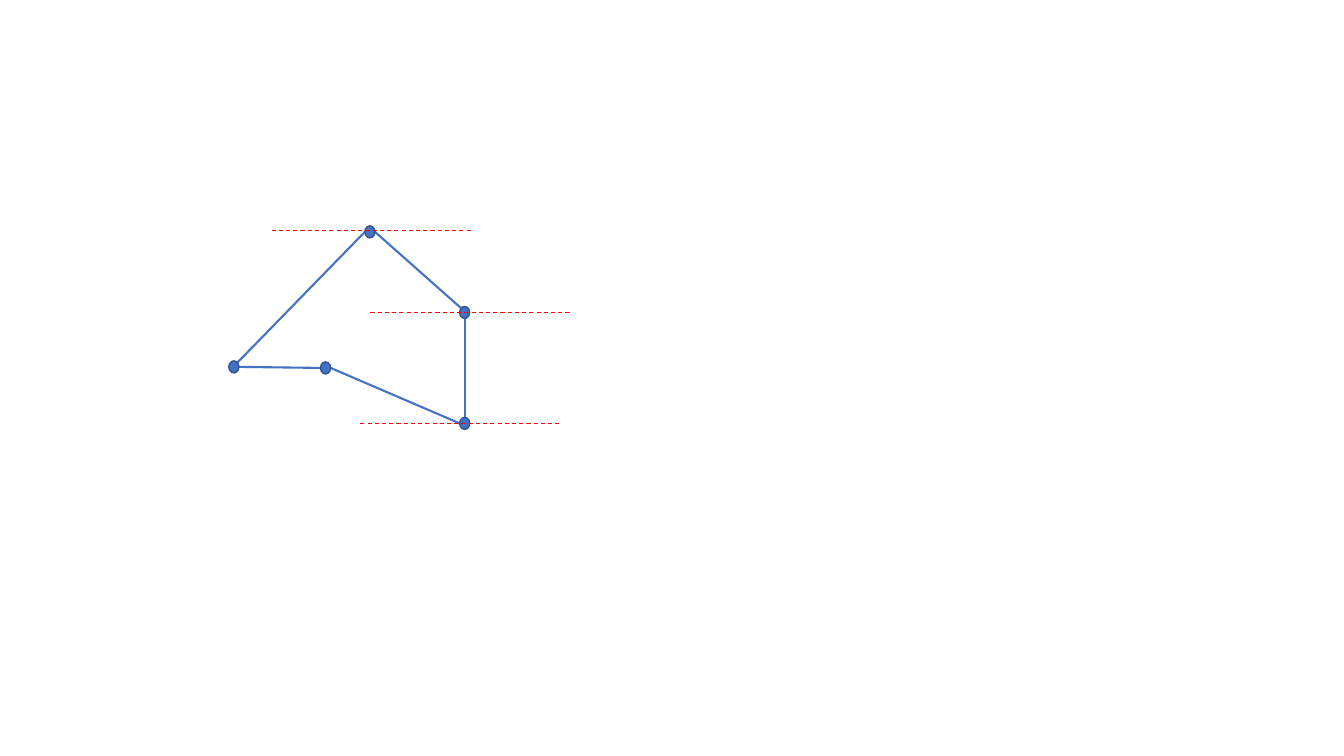
from dataclasses import dataclass
from typing import NamedTuple, Optional

from lxml.etree import SubElement
from pptx import Presentation
from pptx.dml.color import RGBColor
from pptx.enum.dml import MSO_LINE_DASH_STYLE as Dash
from pptx.enum.shapes import MSO_CONNECTOR as Connector, MSO_SHAPE as Shape
from pptx.oxml.ns import qn
from pptx.slide import Slide
from pptx.util import Inches, Length, Pt


# Grid: ten columns and ten rows to the inch
def grid(cells: float) -> Length:
    return Inches(cells / 10)


class Point(NamedTuple):
    column: float
    row: float


class Stroke(NamedTuple):
    color: str
    width: float
    dash: Optional[Dash] = None


@dataclass(frozen=True)
class Theme:
    dot_fill: str = "4472C4"
    dot_outline: Stroke = Stroke("325491", 1)
    edge: Stroke = Stroke("4472C4", 1.5)
    guide: Stroke = Stroke("FF0000", 0.75, Dash.DASH)


@dataclass(frozen=True)
class Edge:
    start: str
    start_side: str
    end: str
    end_side: str


@dataclass(frozen=True)
class Guide:
    right: float
    row: float


THEME = Theme()
SLIDE_COLUMNS, SLIDE_ROWS = 133.33, 75
DOT_WIDTH, DOT_HEIGHT = 1.0, 1.2
GUIDE_LENGTH = 19.75

# Vertex centres, from back to front
VERTICES = {
    "foot": Point(46.1, 42),
    "inner": Point(32.3, 36.5),
    "left": Point(23.2, 36.4),
    "shoulder": Point(46.1, 31),
    "apex": Point(36.7, 23),
}

# Where an edge meets a dot, as shares of the dot's size from its centre
SIDES = {
    "top": Point(0, -0.5),
    "bottom": Point(0, 0.5),
    "left": Point(-0.5, 0),
    "right": Point(0.5, 0),
    "top left": Point(-0.35, -0.35),
    "top right": Point(0.35, -0.35),
}

EDGES = [
    Edge("apex", "left", "left", "top right"),
    Edge("apex", "right", "shoulder", "top left"),
    Edge("inner", "left", "left", "right"),
    Edge("foot", "left", "inner", "right"),
    Edge("shoulder", "bottom", "foot", "top"),
]

GUIDES = [Guide(56.5, 31), Guide(46.7, 22.9), Guide(55.5, 42)]


def apply_stroke(line, stroke: Stroke) -> None:
    line.color.rgb = RGBColor.from_string(stroke.color)
    settings = {"width": Pt(stroke.width), "dash_style": stroke.dash}
    for name, value in settings.items():
        setattr(line, name, value)


def draw_line(page: Slide, start: Point, end: Point, stroke: Stroke) -> None:
    ends = [grid(cells) for cells in (*start, *end)]
    connector = page.shapes.add_connector(Connector.STRAIGHT, *ends)
    apply_stroke(connector.line, stroke)
    SubElement(connector._element.spPr, qn("a:effectLst"))


def draw_dot(page: Slide, center: Point) -> None:
    dot = page.shapes.add_shape(
        Shape.OVAL,
        grid(center.column - DOT_WIDTH / 2),
        grid(center.row - DOT_HEIGHT / 2),
        grid(DOT_WIDTH),
        grid(DOT_HEIGHT),
    )
    dot.shadow.inherit = False
    dot.fill.solid()
    dot.fill.fore_color.rgb = RGBColor.from_string(THEME.dot_fill)
    apply_stroke(dot.line, THEME.dot_outline)


def rim(vertex: str, side: str) -> Point:
    center, share = VERTICES[vertex], SIDES[side]
    return Point(
        center.column + share.column * DOT_WIDTH,
        center.row + share.row * DOT_HEIGHT,
    )


def main() -> None:
    deck = Presentation()
    size = {"slide_width": grid(SLIDE_COLUMNS), "slide_height": grid(SLIDE_ROWS)}
    for name, value in size.items():
        setattr(deck, name, value)
    page = deck.slides.add_slide(deck.slide_layouts[6])

    # Polygon edges
    for edge in EDGES:
        start = rim(edge.start, edge.start_side)
        end = rim(edge.end, edge.end_side)
        draw_line(page, start, end, THEME.edge)

    # Polygon vertices
    for center in VERTICES.values():
        draw_dot(page, center)

    # Dashed horizontal guides
    for guide in GUIDES:
        start = Point(guide.right, guide.row)
        end = Point(guide.right - GUIDE_LENGTH, guide.row)
        draw_line(page, start, end, THEME.guide)

    deck.save("out.pptx")


if __name__ == "__main__":
    main()
